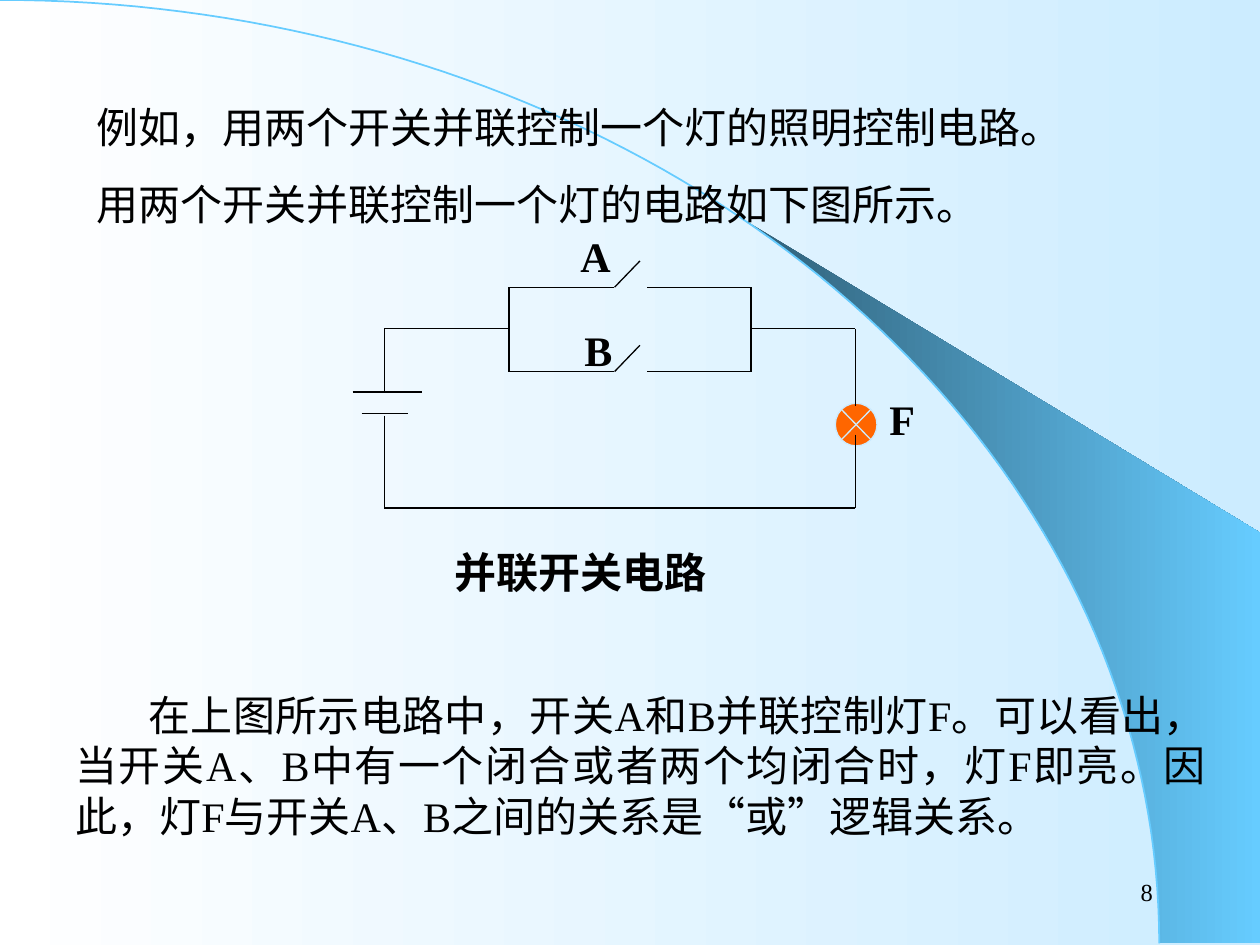
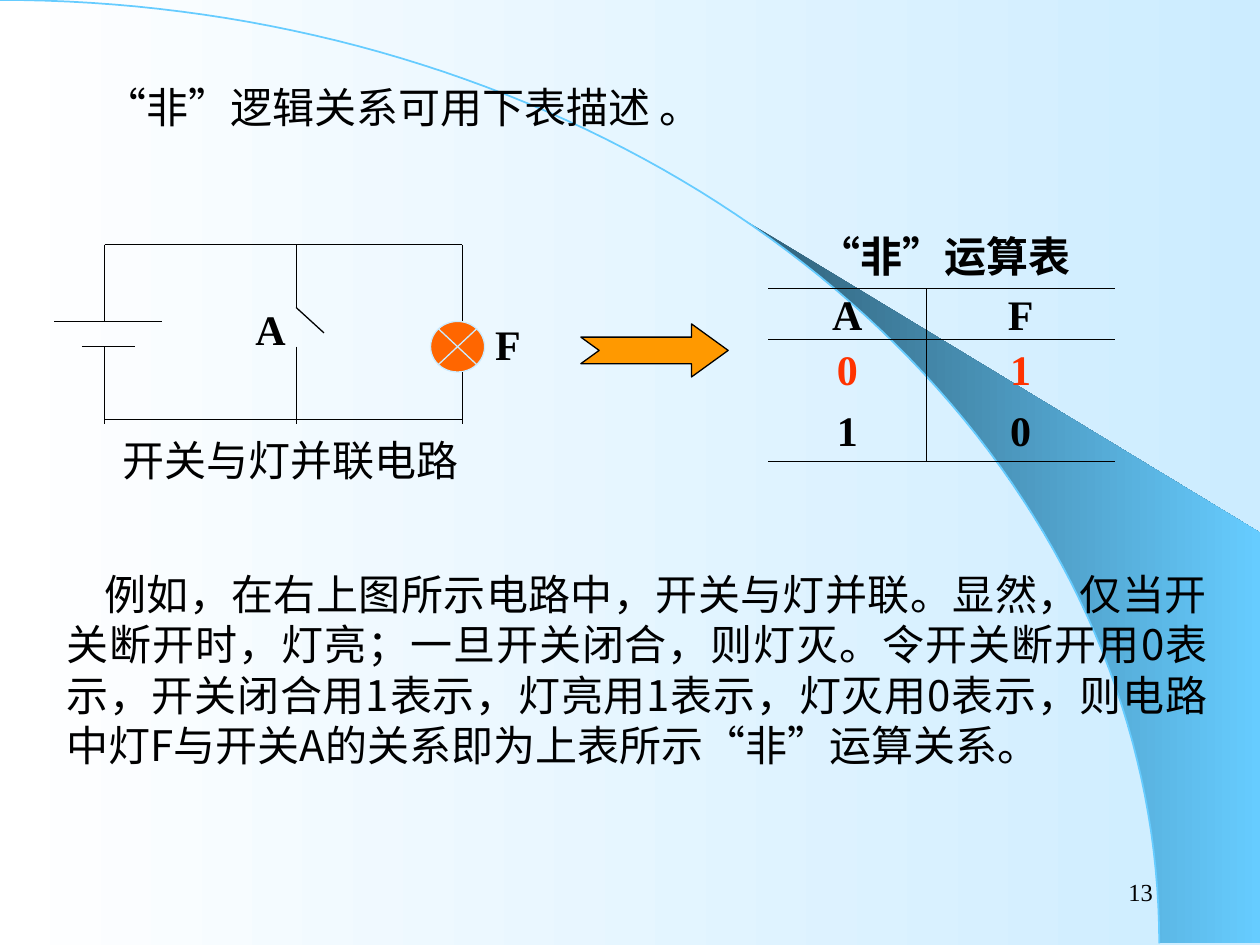
import math

from lxml import etree
from pptx import Presentation
from pptx.dml.color import RGBColor
from pptx.enum import shapes, text
from pptx.oxml import ns
from pptx.util import Cm, Pt

BLACK = RGBColor(0x00, 0x00, 0x00)
WHITE = RGBColor(0xFF, 0xFF, 0xFF)
PALE = RGBColor(0xCC, 0xEC, 0xFF)
SKY = RGBColor(0x66, 0xCC, 0xFF)
DEEP = RGBColor(0x2F, 0x5E, 0x76)
LAMP = RGBColor(0xFF, 0x66, 0x00)
ARROW = RGBColor(0xFF, 0x99, 0x00)
RED = RGBColor(0xFF, 0x33, 0x00)

SERIF = "Times New Roman"
CJK = "Noto Sans CJK SC"
WIDTH, HEIGHT = 25.4, 19.05
CURVE_W, CURVE_H = 23.37, 19.02
HAIRLINE = Pt(0.75)


def sub(parent, tag, **attrs):
    return etree.SubElement(parent, ns.qn(tag), **attrs)


def write(tf, lines, font=SERIF, size=24, bold=False, color=BLACK,
          align=text.PP_ALIGN.LEFT, indent=0):
    for i, line in enumerate(lines.split("\n")):
        p = tf.paragraphs[0] if i == 0 else tf.add_paragraph()
        p.alignment = align
        p.line_spacing = Pt(size * 1.2)
        if i:
            p.space_before = Pt(15)
        if indent:
            p._p.get_or_add_pPr().set("indent", str(Cm(indent)))
        r = p.add_run()
        r.text = line
        r.font.name = font
        r.font.size = Pt(size)
        r.font.bold = bold
        r.font.color.rgb = color
        sub(r._r.get_or_add_rPr(), "a:ea", typeface=CJK)


def textbox(slide, x, y, w, h, lines, anchor=text.MSO_ANCHOR.TOP, wrap=True, **fmt):
    tf = slide.shapes.add_textbox(Cm(x), Cm(y), Cm(w), Cm(h)).text_frame
    tf.word_wrap = wrap
    tf.vertical_anchor = anchor
    write(tf, lines, **fmt)


def label(slide, x, y, name):
    textbox(slide, x, y, 1.1, 1.27, name, wrap=False, bold=True)


def wires(slide, x, y, segments):
    for x1, y1, x2, y2 in segments:
        c = slide.shapes.add_connector(shapes.MSO_CONNECTOR.STRAIGHT, Cm(x + x1),
                                       Cm(y + y1), Cm(x + x2), Cm(y + y2))
        c.line.color.rgb = BLACK
        c.line.width = HAIRLINE
        sub(c._element.spPr, "a:effectLst")


def shape(slide, kind, x, y, w, h, fill, line):
    sp = slide.shapes.add_shape(kind, Cm(x), Cm(y), Cm(w), Cm(h))
    sp.shadow.inherit = False
    sp.fill.solid()
    sp.fill.fore_color.rgb = fill
    sp.line.color.rgb = line
    sp.line.width = HAIRLINE
    return sp


def lamp(slide, x, y, w, h):
    shape(slide, shapes.MSO_SHAPE.FLOWCHART_SUMMING_JUNCTION, x, y, w, h, LAMP, PALE)


def gradient(fill, start, end):
    fill.gradient()
    fill.gradient_angle = 0
    for stop, color in zip(fill.gradient_stops, (start, end)):
        stop.color.rgb = color


def arc(start, steps):
    angles = [start + (math.pi / 2 - start) * i / steps for i in range(steps + 1)]
    return [(CURVE_W * math.sin(a), CURVE_H * (1 - math.cos(a))) for a in angles]


def outline(slide, points, close):
    points = [(Cm(x), Cm(y)) for x, y in points]
    builder = slide.shapes.build_freeform(*points[0], scale=1.0)
    builder.add_line_segments(points[1:], close=close)
    sp = builder.convert_to_shape()
    sp.shadow.inherit = False
    return sp


def decorate_master(master, slide):
    gradient(master.background.fill, WHITE, PALE)
    corner = [(WIDTH, CURVE_H), (WIDTH, 10.74)]
    band = outline(slide, arc(math.asin(0.64), 40) + corner, True)
    gradient(band.fill, DEEP, SKY)
    band.line.fill.background()
    curve = outline(slide, arc(0, 80), False)
    curve.fill.background()
    curve.line.color.rgb = SKY
    curve.line.width = Pt(1)
    for i, sp in enumerate((band, curve)):
        sp._element.nvSpPr.cNvPr.set("id", str(50 + i))
        master.shapes._spTree.append(sp._element)


def page_number(slide, number):
    textbox(slide, 18.21, 17.35, 5.28, 1.27, str(number), size=14,
            anchor=text.MSO_ANCHOR.MIDDLE, align=text.PP_ALIGN.RIGHT)


def parallel_switches(slide, x, y):
    battery, left, right, load = 0.64, 3.15, 8.03, 10.13
    upper, middle, lower, bottom = 1.27, 2.11, 2.97, 5.72
    lamp(slide, x + 9.73, y + 3.61, 0.84, 0.86)
    textbox(slide, x + 1.04, y + 6.38, 9.09, 1.27, "并联开关电路",
            font=CJK, bold=True, indent=0.76)
    wires(slide, x, y, [
        (0, 3.38, 1.4, 3.38),
        (0.18, 3.82, 1.12, 3.82),
        (battery, middle, battery, 3.38),
        (battery, 3.86, battery, bottom),
        (battery, middle, left, middle),
        (left, upper, left, lower),
        (right, upper, right, lower),
        (right, middle, load, middle),
        (load, middle, load, 3.66),
        (load, 4.24, load, bottom),
        (battery, bottom, load, bottom),
    ])
    for branch in (upper, lower):
        wires(slide, x, y, [
            (left, branch, 5.26, branch),
            (5.28, branch, 5.79, branch - 0.53),
            (5.94, branch, right, branch),
        ])
    label(slide, x + 4.34, y, "A")
    label(slide, x + 4.42, y + 1.9, "B")
    label(slide, x + 10.57, y + 3.28, "F")


def switch_beside_lamp(slide, x, y):
    battery, switch, load, bottom, end = 1.02, 4.88, 8.23, 3.53, 3.61
    lamp(slide, x + 7.59, y + 1.55, 1.09, 1.02)
    wires(slide, x, y, [
        (0, 1.55, 2.18, 1.55),
        (0.56, 2.06, 1.63, 2.06),
        (battery, 0, battery, 1.55),
        (battery, 2.06, battery, end),
        (switch, 0, switch, 1.27),
        (switch, 1.27, 5.44, 1.78),
        (switch, 2.06, switch, end),
        (load, 0, load, 1.55),
        (load, 2.57, load, end),
        (battery, 0, load, 0),
        (battery, bottom, load, bottom),
    ])
    label(slide, x + 3.81, y + 1.07, "A")
    label(slide, x + 8.64, y + 1.37, "F")
    textbox(slide, x, y + 3.71, 9.73, 1.27, "开关与灯并联电路", indent=1.14)


def border(cell, *sides):
    tcPr = cell._tc.get_or_add_tcPr()
    for side in ("L", "R", "T", "B"):
        if side in sides:
            ln = sub(tcPr, "a:ln" + side, w=str(HAIRLINE))
            sub(sub(ln, "a:solidFill"), "a:srgbClr", val=str(BLACK))
        else:
            sub(sub(tcPr, "a:ln" + side, w="0"), "a:noFill")


def truth_table(slide, x, y):
    rows = [("A", "F"), ("0", "1"), ("1", "0")]
    widths, heights = (3.18, 3.81), (0.99, 1.23, 1.23)
    textbox(slide, x, y, 7.19, 1.27, "“非”运算表", bold=True, indent=0.76)
    table = slide.shapes.add_table(len(rows), len(widths), Cm(x), Cm(y + 1.3),
                                   Cm(sum(widths)), Cm(sum(heights))).table
    table.first_row = table.horz_banding = False
    for column, w in zip(table.columns, widths):
        column.width = Cm(w)
    for i, values in enumerate(rows):
        table.rows[i].height = Cm(heights[i])
        for j, value in enumerate(values):
            cell = table.cell(i, j)
            cell.margin_left = cell.margin_right = 0
            cell.margin_top = cell.margin_bottom = 0
            cell.vertical_anchor = text.MSO_ANCHOR.MIDDLE
            border(cell, "R" if j == 0 else "L", "T" if i < 2 else "",
                   "B" if i != 1 else "")
            cell.fill.background()
            write(cell.text_frame, value, bold=True, align=text.PP_ALIGN.CENTER,
                  color=RED if i == 1 else BLACK)


def or_slide(slide):
    page_number(slide, 8)
    textbox(slide, 1.27, 13.77, 23.29, 4.32,
            "在上图所示电路中，开关A和B并联控制灯F。可以看出，当开关A、B中有一个闭合"
            "或者两个均闭合时，灯F即亮。因此，灯F与开关A、B之间的关系是“或”逻辑关系。",
            align=text.PP_ALIGN.JUSTIFY, indent=1.47)
    parallel_switches(slide, 7.11, 4.52)
    textbox(slide, 1.7, 1.93, 22.66, 2.82,
            "例如，用两个开关并联控制一个灯的照明控制电路。\n"
            "用两个开关并联控制一个灯的电路如下图所示。")


def not_slide(slide):
    page_number(slide, 13)
    truth_table(slide, 15.49, 4.52)
    switch_beside_lamp(slide, 1.09, 4.93)
    textbox(slide, 1.09, 11.33, 23.5, 4.32,
            "例如，在右上图所示电路中，开关与灯并联。显然，仅当开关断开时，灯亮；一旦开关"
            "闭合，则灯灭。令开关断开用0表示，开关闭合用1表示，灯亮用1表示，灯灭用0表示，"
            "则电路中灯F与开关A的关系即为上表所示“非”运算关系。",
            font=CJK, align=text.PP_ALIGN.JUSTIFY, indent=0.76)
    textbox(slide, 1.09, 1.52, 22.43, 1.27, "“非”逻辑关系可用下表描述 。", indent=0.76)
    arrow = shape(slide, shapes.MSO_SHAPE.NOTCHED_RIGHT_ARROW,
                  11.71, 6.53, 2.97, 1.07, ARROW, BLACK)
    arrow.adjustments[1] = 0.69


def main():
    prs = Presentation()
    prs.slide_width, prs.slide_height = Cm(WIDTH), Cm(HEIGHT)
    blank = prs.slide_layouts[6]
    first, second = (prs.slides.add_slide(blank) for _ in range(2))
    decorate_master(prs.slide_master, first)
    or_slide(first)
    not_slide(second)
    prs.save("out.pptx")


if __name__ == "__main__":
    main()
